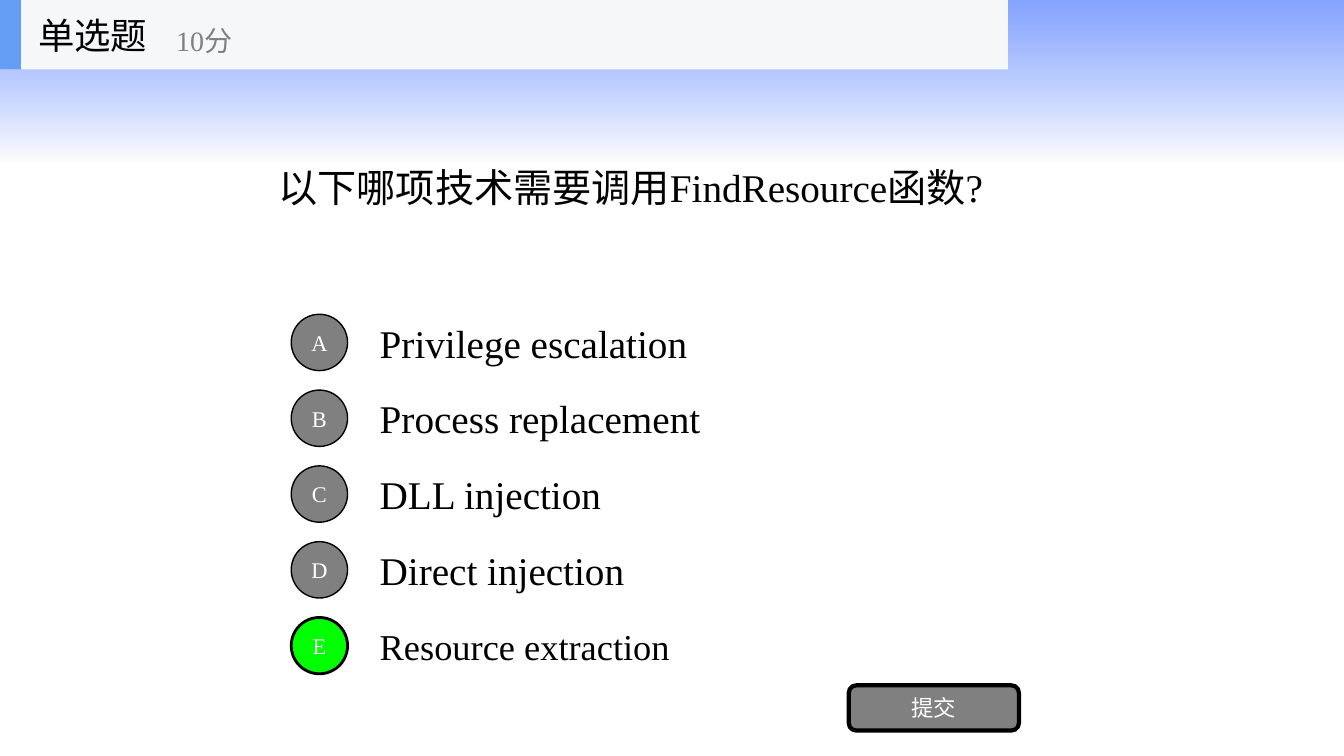
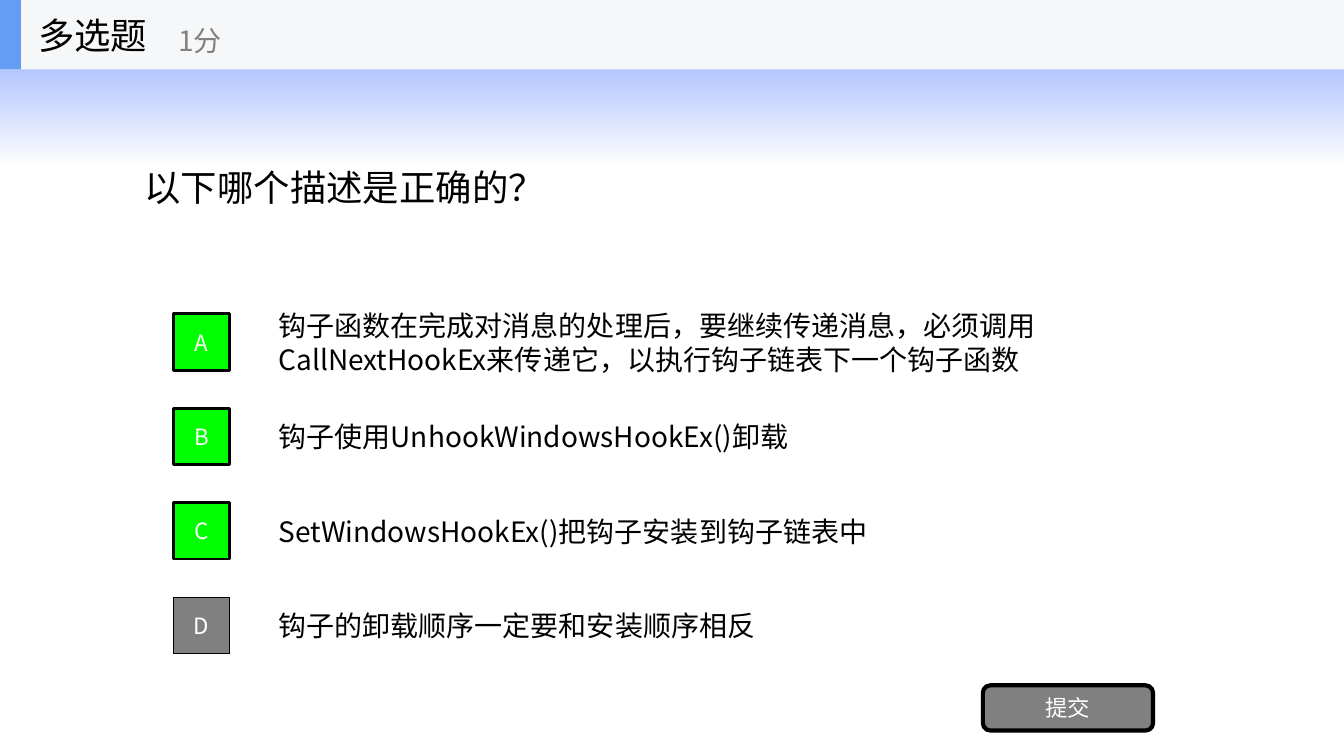
import pptx
import pptx.util
import pptx.dml.color
import pptx.enum.shapes
import pptx.enum.text
import pptx.oxml.ns
import lxml.etree

Cm = pptx.util.Cm
Pt = pptx.util.Pt
RGBColor = pptx.dml.color.RGBColor
MSO_SHAPE = pptx.enum.shapes.MSO_SHAPE
PP_ALIGN = pptx.enum.text.PP_ALIGN
qn = pptx.oxml.ns.qn

BLACK = RGBColor(0x00, 0x00, 0x00)
WHITE = RGBColor(0xFF, 0xFF, 0xFF)
GRAY = RGBColor(0x80, 0x80, 0x80)
GREEN = RGBColor(0x00, 0xFF, 0x00)
SKY = RGBColor(0x33, 0x66, 0xFF)
BAND = RGBColor(0xF6, 0xF7, 0xF8)
ACCENT = RGBColor(0x63, 0x9E, 0xF4)

SANS = "Noto Sans CJK SC"
SERIF = "Times New Roman"

SLIDE_W, SLIDE_H = 33.87, 19.05
HEADER_H = 1.75
OPTION_H = 1.78
BADGE = 1.42


def write(sp, text, size, font, color, align=PP_ALIGN.LEFT):
    tf = sp.text_frame
    tf.word_wrap = True
    tf.vertical_anchor = pptx.enum.text.MSO_ANCHOR.MIDDLE
    p = tf.paragraphs[0]
    p.text = text
    p.alignment = align
    p.font.size = Pt(size)
    p.font.color.rgb = color
    p.font.name = font
    latin = p._p.find(".//" + qn("a:latin"))
    ea = lxml.etree.Element(qn("a:ea"), typeface=SANS)
    latin.addnext(ea)


def add_text(shapes, box, text, size, font, color=BLACK):
    write(shapes.add_textbox(*map(Cm, box)), text, size, font, color)


def add_box(shapes, kind, box, fill, line=0):
    sp = shapes.add_shape(kind, *map(Cm, box))
    sp.shadow.inherit = False
    sp.fill.solid()
    sp.fill.fore_color.rgb = fill
    if line:
        sp.line.color.rgb = BLACK
        sp.line.width = Pt(line)
    else:
        sp.line.fill.background()
    return sp


def add_label(shapes, kind, box, fill, line, text, font):
    sp = add_box(shapes, kind, box, fill, line)
    tf = sp.text_frame
    tf.margin_left = tf.margin_right = tf.margin_top = tf.margin_bottom = 0
    write(sp, text, 16, font, WHITE, PP_ALIGN.CENTER)


def add_master_gradient(prs, s):
    sp = add_box(s.shapes, MSO_SHAPE.RECTANGLE, (0, 0, SLIDE_W, 4.11), WHITE)
    sp.fill.gradient()
    sp.fill.gradient_angle = 270
    stops = zip(sp.fill.gradient_stops, (0, 1), (SKY, WHITE))
    for stop, position, color in stops:
        stop.position = position
        stop.color.rgb = color
    colors = sp.element.spPr.findall(".//" + qn("a:srgbClr"))
    for color, alpha in zip(colors, (60, 70)):
        lxml.etree.SubElement(color, qn("a:alpha"), val=str(alpha * 1000))
    sp.element.find(".//" + qn("p:cNvPr")).set("id", "100")
    prs.slide_master.shapes.element.insert(2, sp.element)


def add_header(s, width, kind, points, points_x, font):
    shapes = s.shapes.add_group_shape().shapes
    add_box(shapes, MSO_SHAPE.RECTANGLE, (0, 0, width, HEADER_H), BAND)
    add_box(shapes, MSO_SHAPE.RECTANGLE, (0, 0, 0.53, HEADER_H), ACCENT)
    add_text(shapes, (0.71, 0, 5.28, HEADER_H), kind, 26, font)
    add_text(shapes, (points_x, 0.3, 6.35, 1.42), points, 20, font, GRAY)


def add_question(s, x, width, text, size, font):
    add_text(s.shapes, (x, HEADER_H, width, 5.94), text, size, font)


def add_options(s, options, answers, kind, badge_x, x, y, width, step, font):
    for i, (text, size) in enumerate(options):
        top = y + i * step
        letter = "ABCDE"[i]
        fill, line = (GREEN, 2) if letter in answers else (GRAY, 1)
        add_text(s.shapes, (x, top, width, OPTION_H), text, size, font)
        badge = (badge_x, top + (OPTION_H - BADGE) / 2, BADGE, BADGE)
        add_label(s.shapes, kind, badge, fill, line, letter, font)


def add_submit(s, x, font):
    add_label(s.shapes, MSO_SHAPE.ROUNDED_RECTANGLE, (x, 17.27, 4.29, 1.14),
              GRAY, 3, "提交", font)


def add_single_choice(s):
    add_question(s, 6.77, 20.32, "以下哪项技术需要调用FindResource函数?", 28, SERIF)
    options = [
        ("Privilege escalation", 28),
        ("Process replacement", 28),
        ("DLL injection", 28),
        ("Direct injection", 28),
        ("Resource extraction", 26),
    ]
    add_options(s, options, "E", MSO_SHAPE.OVAL, 7.34, 9.32, 7.74, 17.78, 1.91, SERIF)
    add_submit(s, 21.39, SERIF)
    add_header(s, 25.4, "单选题", "10分", 4.19, SERIF)


def add_multiple_choice(s):
    add_question(s, 3.39, 27.09, "以下哪个描述是正确的？", 26, SANS)
    options = [
        ("钩子函数在完成对消息的处理后，要继续传递消息，必须调用"
         "CallNextHookEx来传递它，以执行钩子链表下一个钩子函数", 20),
        ("钩子使用UnhookWindowsHookEx()卸载", 20),
        ("SetWindowsHookEx()把钩子安装到钩子链表中", 20),
        ("钩子的卸载顺序一定要和安装顺序相反", 20),
    ]
    add_options(s, options, "ABC", MSO_SHAPE.RECTANGLE, 4.37, 6.77, 7.73, 23.71, 2.38, SANS)
    add_submit(s, 24.77, SANS)
    add_header(s, SLIDE_W, "多选题", "1分", 4.24, SANS)


def main():
    prs = pptx.Presentation()
    prs.slide_width = Cm(SLIDE_W)
    prs.slide_height = Cm(SLIDE_H)
    blank = prs.slide_layouts[6]
    s = prs.slides.add_slide(blank)
    add_master_gradient(prs, s)
    add_single_choice(s)
    add_multiple_choice(prs.slides.add_slide(blank))
    prs.save("out.pptx")


if __name__ == "__main__":
    main()
